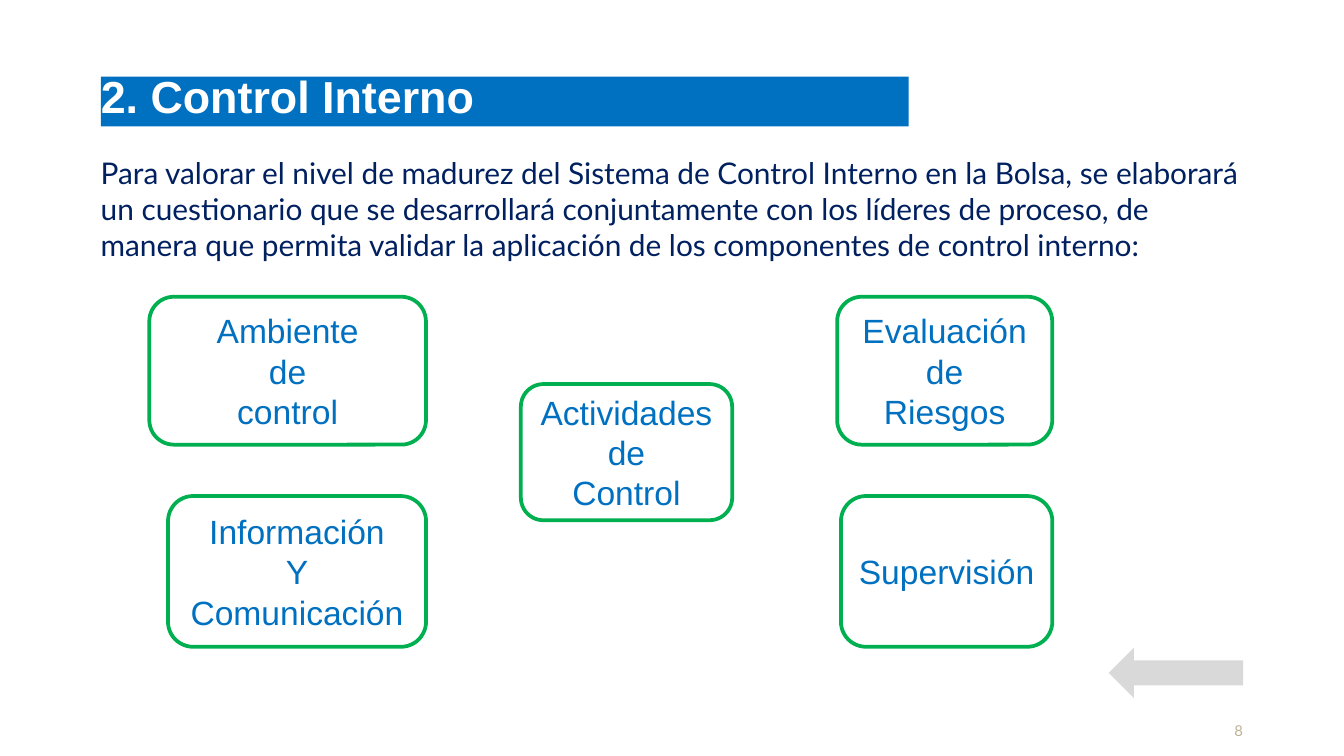
from pptx import Presentation
from pptx.dml.color import RGBColor
from pptx.enum.shapes import MSO_SHAPE
from pptx.enum.text import MSO_ANCHOR, MSO_AUTO_SIZE, PP_ALIGN
from pptx.util import Pt

ROUNDED = MSO_SHAPE.ROUNDED_RECTANGLE
LEFT_ARROW = MSO_SHAPE.LEFT_ARROW
TOP, MIDDLE, BOTTOM = MSO_ANCHOR.TOP, MSO_ANCHOR.MIDDLE, MSO_ANCHOR.BOTTOM
LEFT, CENTER, RIGHT = PP_ALIGN.LEFT, PP_ALIGN.CENTER, PP_ALIGN.RIGHT
NO_AUTOFIT = MSO_AUTO_SIZE.NONE

COLORS = {
    "blue": "0070C0",
    "navy": "002060",
    "green": "00B050",
    "gray": "D9D9D9",
    "sand": "BCB296",
    "white": "FFFFFF",
}

HEADING = "2. Control Interno"
INTRODUCTION = (
    "Para valorar el nivel de madurez del Sistema de Control Interno en la Bolsa, "
    "se elaborará un cuestionario que se desarrollará conjuntamente con los líderes "
    "de proceso, de manera que permita validar la aplicación de los componentes de "
    "control interno:"
)
PAGE_NUMBER = "8"

LEFT_COLUMN_END, RIGHT_COLUMN_END = 228.25, 563.75
UPPER_ROW, LOWER_ROW = (159, 79.25), (265.75, 80.75)
MIDDLE_ROW = (205.75, 73)
COMPONENTS = [
    (["Ambiente", "de", "control"], LEFT_COLUMN_END, 148.25, UPPER_ROW),
    (["Evaluación", "de", "Riesgos"], RIGHT_COLUMN_END, 115.25, UPPER_ROW),
    (["Actividades", "de", "Control"], 392.25, 113.25, MIDDLE_ROW),
    (["Supervisión"], RIGHT_COLUMN_END, 113.25, LOWER_ROW),
    (["Información", "Y", "Comunicación"], LEFT_COLUMN_END, 138.25, LOWER_ROW),
]


def color(name):
    return RGBColor.from_string(COLORS[name])


def fill_shape(shape, name):
    shape.fill.solid()
    shape.fill.fore_color.rgb = color(name)


def write(shape, lines, font_name, size, color_name, align, anchor,
          inset=0, wrap=True, bold=False):
    frame = shape.text_frame
    frame.text = "\n".join(lines)
    frame.auto_size = NO_AUTOFIT
    frame.word_wrap = wrap
    frame.vertical_anchor = anchor
    frame.margin_left = frame.margin_right = Pt(inset)
    frame.margin_top = frame.margin_bottom = Pt(inset)
    for paragraph in frame.paragraphs:
        paragraph.alignment = align
        paragraph.font.name = font_name
        paragraph.font.size = Pt(size)
        paragraph.font.bold = bold
        paragraph.font.color.rgb = color(color_name)


def add_text(slide, box, *text_format):
    shape = slide.shapes.add_textbox(*map(Pt, box))
    write(shape, *text_format)


def add_component(slide, lines, right, width, row):
    top, height = row
    shape = slide.shapes.add_shape(
        ROUNDED, Pt(right - width), Pt(top), Pt(width), Pt(height))
    shape.shadow.inherit = False
    fill_shape(shape, "white")
    shape.line.color.rgb = color("green")
    shape.line.width = Pt(2)
    write(shape, lines, "Arial", 18, "blue", CENTER, MIDDLE, inset=18, wrap=False)


def main():
    presentation = Presentation()
    presentation.slide_width, presentation.slide_height = Pt(720), Pt(405)
    slide = presentation.slides.add_slide(presentation.slide_layouts[5])

    title = slide.shapes.title
    title.left, title.top, title.width, title.height = map(Pt, (54, 41, 432.75, 26.75))
    fill_shape(title, "blue")
    write(title, [HEADING], "Arial", 24, "white", LEFT, TOP, bold=True)
    title.text_frame.paragraphs[0].line_spacing = 0.85

    add_text(slide, (54, 83, 612, 76), [INTRODUCTION], "Lato", 16, "navy", LEFT, TOP)

    arrow = slide.shapes.add_shape(LEFT_ARROW, Pt(594), Pt(347), Pt(72), Pt(27))
    arrow.shadow.inherit = False
    fill_shape(arrow, "gray")
    arrow.line.fill.background()

    for component in COMPONENTS:
        add_component(slide, *component)

    add_text(slide, (643, 386.75, 23, 9.5), [PAGE_NUMBER], "Lato", 8, "sand", RIGHT, BOTTOM)
    presentation.save("out.pptx")


if __name__ == "__main__":
    main()
